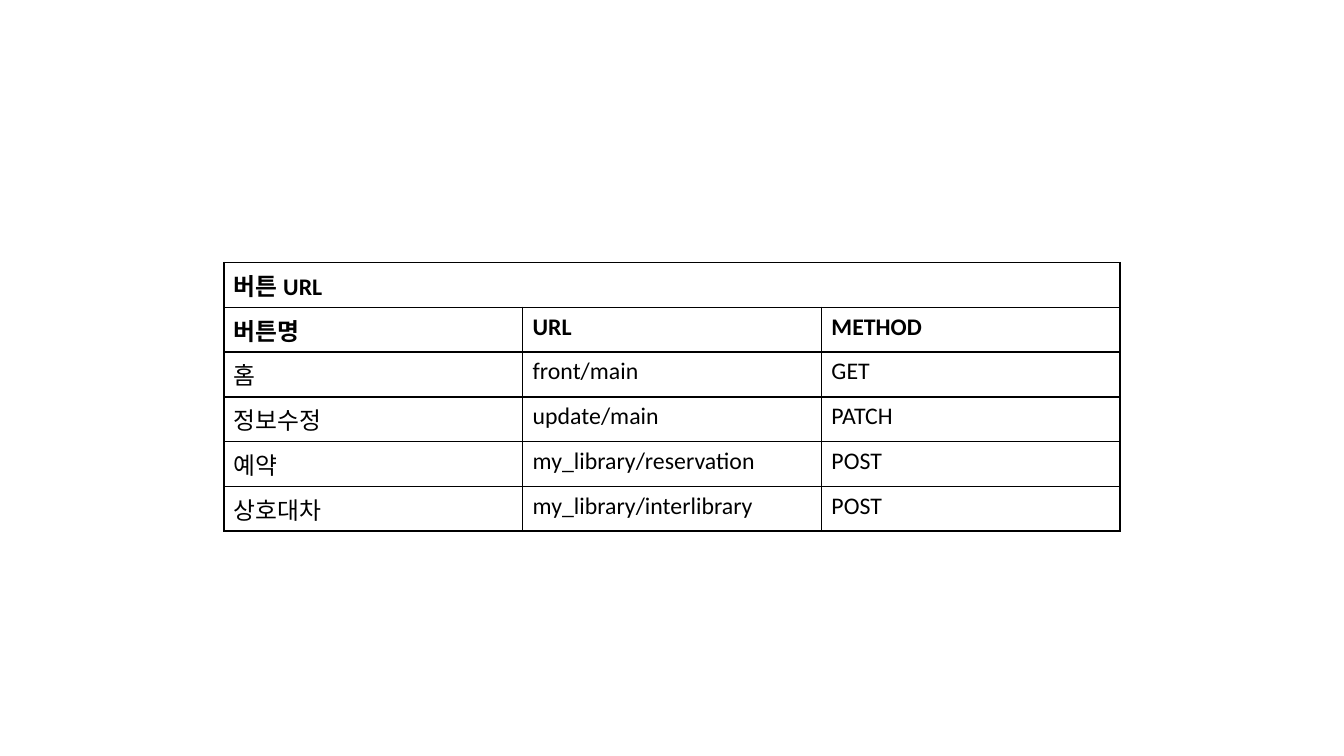
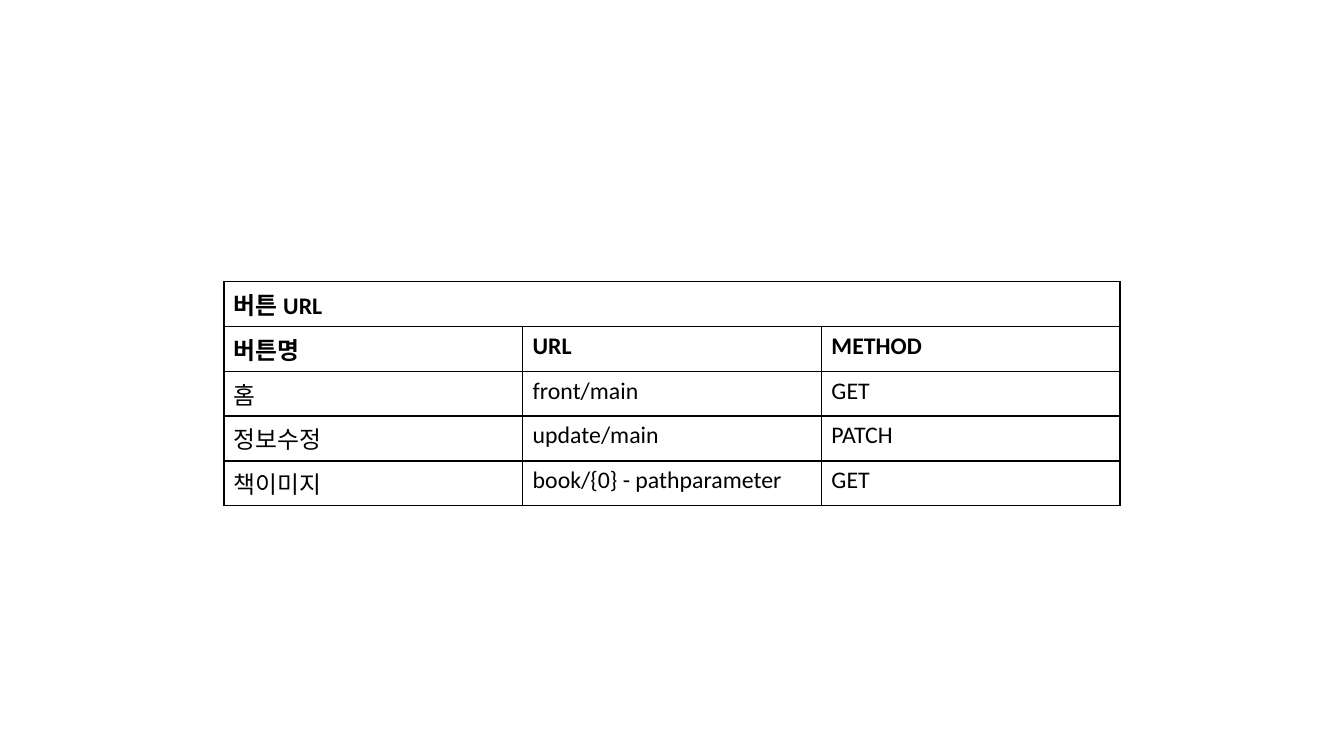
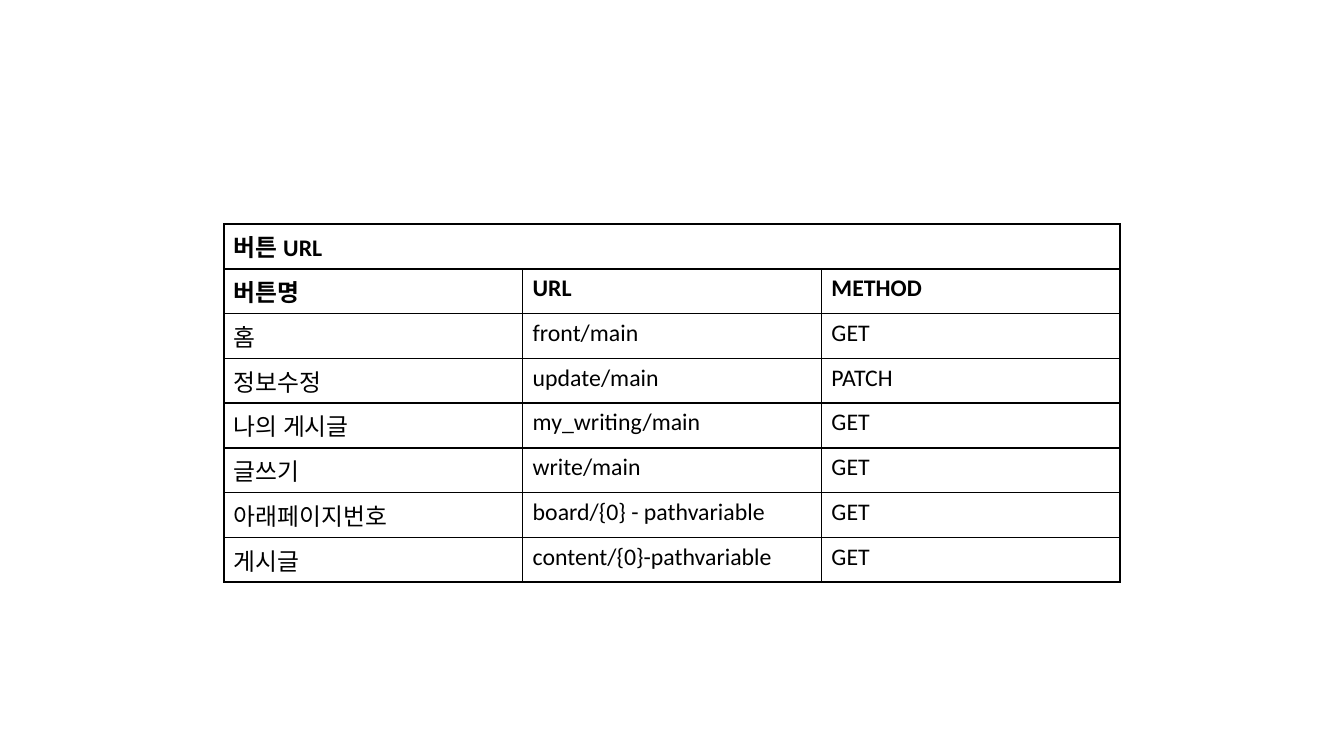
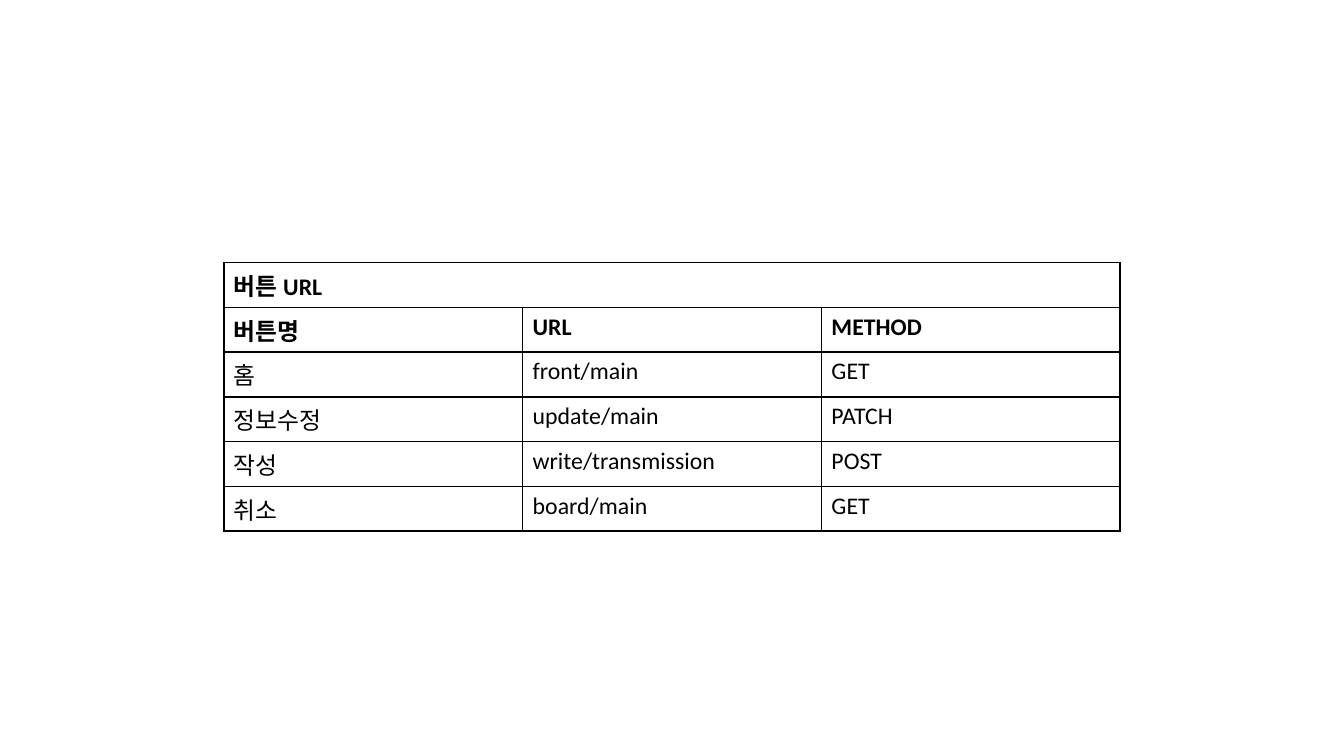
from dataclasses import dataclass

from lxml.etree import SubElement
from pptx import Presentation
from pptx.dml.color import RGBColor
from pptx.oxml.ns import qn
from pptx.util import Cm, Pt


@dataclass(frozen=True)
class Theme:
    ink: str = "000000"
    paper: str = "FFFFFF"
    font: str = "Calibri"
    text_size: float = 17
    border_width: float = 1.2


THEME = Theme()
SLIDE_WIDTH, SLIDE_HEIGHT = Cm(33.87), Cm(19.05)
COLUMN_WIDTH, ROW_HEIGHT = Cm(7.53), Cm(0.97)

TABLE_TITLE = "버튼 URL"
COLUMN_TITLES = ("버튼명", "URL", "METHOD")
COMMON_BUTTONS = [
    ("홈", "front/main", "GET"),
    ("정보수정", "update/main", "PATCH"),
]
PAGE_BUTTONS = [
    [
        ("예약", "my_library/reservation", "POST"),
        ("상호대차", "my_library/interlibrary", "POST"),
    ],
    [
        ("책이미지", "book/{0} - pathparameter", "GET"),
    ],
    [
        ("나의 게시글", "my_writing/main", "GET"),
        ("글쓰기", "write/main", "GET"),
        ("아래페이지번호", "board/{0} - pathvariable", "GET"),
        ("게시글", "content/{0}-pathvariable", "GET"),
    ],
    [
        ("작성", "write/transmission", "POST"),
        ("취소", "board/main", "GET"),
    ],
]


def style_cell(cell):
    properties = cell._tc.get_or_add_tcPr()
    for side in ("a:lnL", "a:lnR", "a:lnT", "a:lnB"):
        line = SubElement(properties, qn(side), w=str(Pt(THEME.border_width)))
        fill = SubElement(line, qn("a:solidFill"))
        SubElement(fill, qn("a:srgbClr"), val=THEME.ink)
    cell.fill.solid()
    cell.fill.fore_color.rgb = RGBColor.from_string(THEME.paper)


def write_cell(cell, text, bold):
    run = cell.text_frame.paragraphs[0].add_run()
    run.text = text
    run.font.name = THEME.font
    run.font.size = Pt(THEME.text_size)
    run.font.bold = bold
    run.font.color.rgb = RGBColor.from_string(THEME.ink)


def add_button_table(slide, buttons):
    rows = [(TABLE_TITLE,), COLUMN_TITLES, *buttons]
    column_count = len(COLUMN_TITLES)
    width, height = COLUMN_WIDTH * column_count, ROW_HEIGHT * len(rows)
    left, top = (SLIDE_WIDTH - width) // 2, (SLIDE_HEIGHT - height) // 2
    table = slide.shapes.add_table(
        len(rows), column_count, left, top, width, height
    ).table
    table.first_row = False
    table.horz_banding = False
    for cell in table.iter_cells():
        style_cell(cell)
    table.cell(0, 0).merge(table.cell(0, column_count - 1))
    for row_index, texts in enumerate(rows):
        for column_index, text in enumerate(texts):
            write_cell(table.cell(row_index, column_index), text, row_index < 2)


def main():
    presentation = Presentation()
    presentation.slide_width = SLIDE_WIDTH
    presentation.slide_height = SLIDE_HEIGHT
    blank_layout = presentation.slide_layouts[6]
    for buttons in PAGE_BUTTONS:
        slide = presentation.slides.add_slide(blank_layout)
        add_button_table(slide, COMMON_BUTTONS + buttons)
    presentation.save("out.pptx")


if __name__ == "__main__":
    main()
